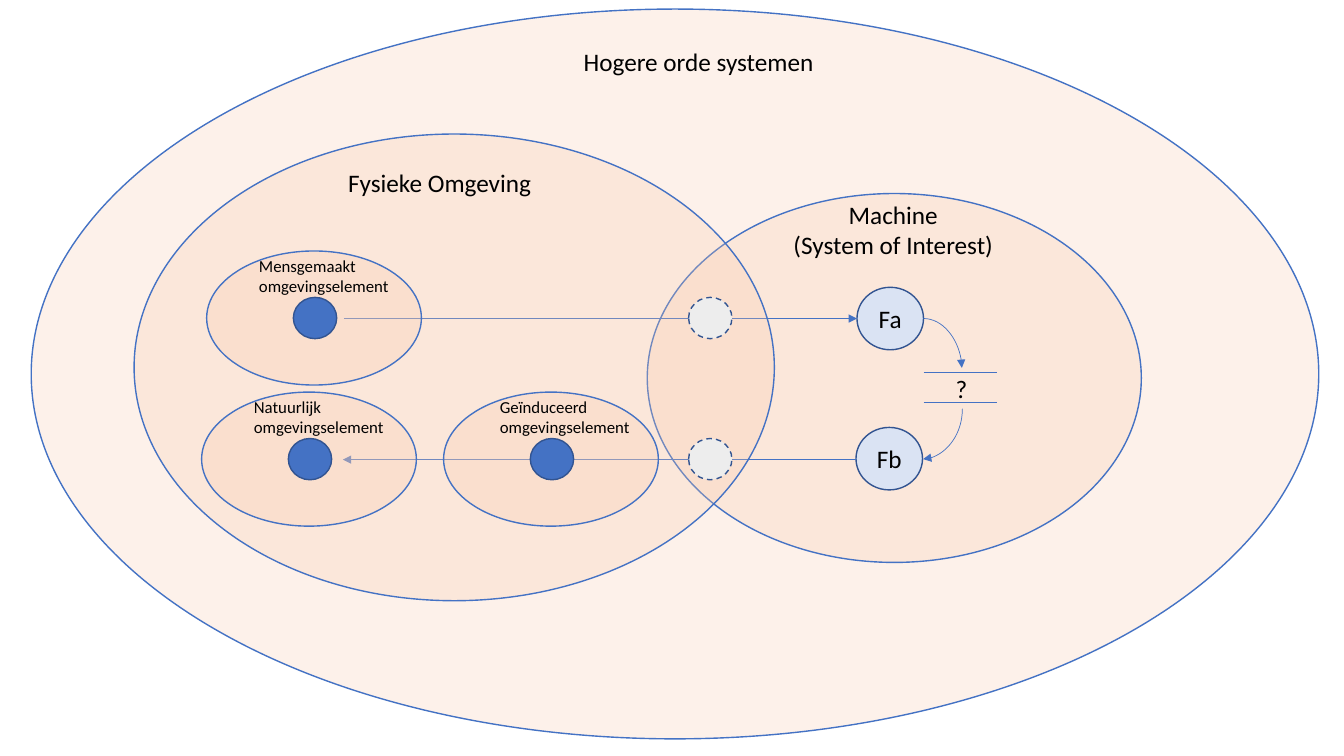
from lxml import etree
from pptx import Presentation
from pptx.dml.color import RGBColor
from pptx.enum.dml import MSO_LINE
from pptx.enum.shapes import MSO_CONNECTOR, MSO_SHAPE
from pptx.enum.text import MSO_ANCHOR, MSO_AUTO_SIZE, PP_ALIGN
from pptx.oxml.ns import qn
from pptx.util import Inches, Pt

OVAL = MSO_SHAPE.OVAL
STRAIGHT, CURVE = MSO_CONNECTOR.STRAIGHT, MSO_CONNECTOR.CURVE
LEFT, CENTER = PP_ALIGN.LEFT, PP_ALIGN.CENTER
DASH = MSO_LINE.DASH

BLUE, DARK_BLUE, PALE_BLUE = "4472C4", "325491", "DAE3F3"
PEACH, GREY, BLACK = "F8CBAD", "EDEDED", "000000"
DOT_W, DOT_H = 0.43, 0.41
LABEL_FORMAT = {"word_wrap": False, "auto_size": MSO_AUTO_SIZE.SHAPE_TO_FIT_TEXT}
FUNCTION_FORMAT = {"vertical_anchor": MSO_ANCHOR.MIDDLE, "word_wrap": True,
                   "margin_left": 0, "margin_right": 0}


def color(hex_value):
    return RGBColor.from_string(hex_value)


def write(frame, lines, size, align, frame_format):
    for name, value in frame_format.items():
        setattr(frame, name, value)
    font_format = {"size": Pt(size), "name": "Calibri"}
    for number, line in enumerate(lines):
        paragraph = frame.add_paragraph() if number else frame.paragraphs[0]
        paragraph.alignment = align
        run = paragraph.add_run()
        run.text = line
        for name, value in font_format.items():
            setattr(run.font, name, value)
        run.font.color.rgb = color(BLACK)


def add_label(slide, box, lines, size=18, align=LEFT):
    label = slide.shapes.add_textbox(*map(Inches, box))
    write(label.text_frame, lines, size, align, LABEL_FORMAT)


def add_oval(slide, box, fill, outline=DARK_BLUE, dash=None):
    oval = slide.shapes.add_shape(OVAL, *map(Inches, box))
    oval.shadow.inherit = False
    oval.fill.solid()
    oval.fill.fore_color.rgb = color(fill)
    oval.line.color.rgb = color(outline)
    oval.line.width = Pt(1)
    if dash:
        oval.line.dash_style = dash
    return oval


def add_domain(slide, box):
    """Translucent oval that bounds a system or an element."""
    domain = add_oval(slide, box, PEACH, BLUE)
    peach = domain.fill._xPr.find(qn("a:solidFill"))[0]
    etree.SubElement(peach, qn("a:alpha"), val="25000")


def add_flow(slide, start, end, kind=STRAIGHT, arrow=True, turn=0):
    flow = slide.shapes.add_connector(kind, *map(Inches, start + end))
    flow.line.color.rgb = color(BLUE)
    flow.line.width = Pt(0.5)
    properties = flow._element.spPr
    if arrow:
        etree.SubElement(properties.find(qn("a:ln")), qn("a:tailEnd"), type="triangle")
    etree.SubElement(properties, qn("a:effectLst"))
    if kind == CURVE:
        properties.find(qn("a:prstGeom")).set("prst", "curvedConnector2")
    if turn:
        properties.find(qn("a:xfrm")).set("rot", str(turn * 60000))


def add_machine(slide, box):
    x, y, _, _ = box
    add_domain(slide, box)
    # Functions Fa and Fb
    for name, dx, dy in (("Fa", 2.08, 0.93), ("Fb", 2.07, 2.32)):
        function = add_oval(slide, (x + dx, y + dy, 0.66, 0.62), PALE_BLUE)
        write(function.text_frame, [name], 18, CENTER, FUNCTION_FORMAT)
    # Flows from and to the physical environment
    add_flow(slide, (3.41, y + 1.24), (x + 2.08, y + 1.24))
    add_flow(slide, (x + 2.07, y + 2.64), (3.4, y + 2.64))
    # Unknown store between the functions
    for dy in (1.77, 2.07):
        add_flow(slide, (x + 2.74, y + dy), (x + 3.47, y + dy), arrow=False)
    add_flow(slide, (x + 2.74, y + 1.24), (x + 3.12, y + 1.73), CURVE)
    add_flow(slide, (x + 2.68, y + 2.19), (x + 3.18, y + 2.58), CURVE, turn=90)
    add_label(slide, (x + 2.96, y + 1.73, 0.32, 0.4), ["?"])
    add_label(slide, (x + 1.34, y + 0.01, 2.2, 0.71),
              ["Machine", "(System of Interest)"], align=CENTER)


def add_element(slide, left, top, origin, label_dx):
    add_domain(slide, (left, top, 2.13, 1.33))
    add_oval(slide, (left + 0.86, top + 0.46, DOT_W, DOT_H), BLUE)
    add_label(slide, (left + label_dx, top, 1.5, 0.5),
              [origin, "omgevingselement"], 12)


def add_environment(slide, box):
    x, y, _, _ = box
    add_domain(slide, box)
    add_label(slide, (x + 2.01, y + 0.28, 2.04, 0.4), ["Fysieke Omgeving"], align=CENTER)
    for origin, dx, dy, label_dx in (("Natuurlijk", 0.67, 2.56, 0.42),
                                     ("Mensgemaakt", 0.72, 1.16, 0.42),
                                     ("Geïnduceerd", 3.07, 2.56, 0.46)):
        add_element(slide, x + dx, y + dy, origin, label_dx)
    # Interfaces shared with the machine
    for dy in (3.02, 1.62):
        add_oval(slide, (x + 5.5, y + dy, DOT_W, DOT_H), GREY, dash=DASH)


def add_higher_systems(slide, box):
    x, y, _, _ = box
    add_domain(slide, box)
    add_label(slide, (x + 5.38, y + 0.32, 2.51, 0.71), ["Hogere orde systemen"])


def main():
    deck = Presentation()
    deck.slide_width, deck.slide_height = Inches(13.33), Inches(7.5)
    slide = deck.slides.add_slide(deck.slide_layouts[6])
    add_higher_systems(slide, (0.31, 0.09, 12.77, 7.24))
    add_machine(slide, (6.42, 1.92, 4.9, 3.66))
    add_environment(slide, (1.33, 1.33, 6.35, 4.63))
    deck.save("out.pptx")


if __name__ == "__main__":
    main()
